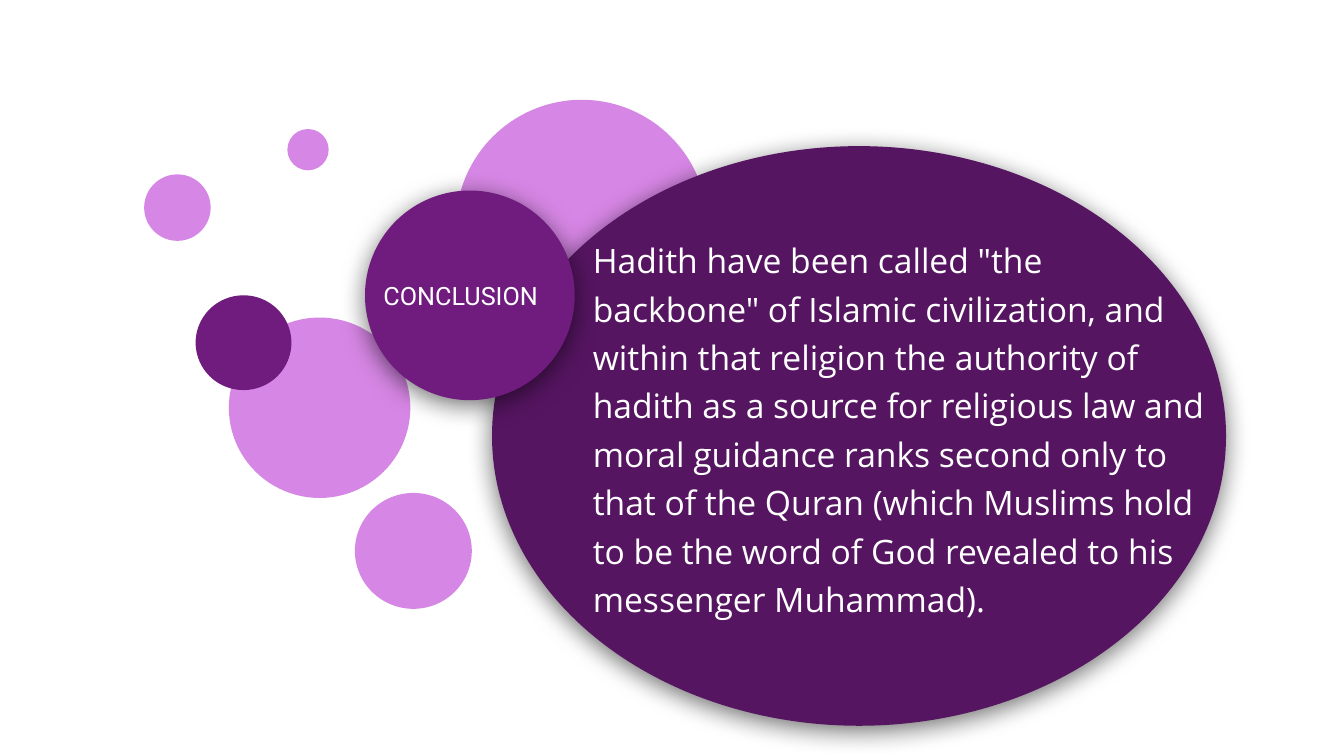
from lxml import etree
from pptx import Presentation
from pptx.dml.color import RGBColor
from pptx.enum.shapes import MSO_SHAPE
from pptx.enum.text import MSO_ANCHOR, PP_ALIGN
from pptx.oxml.ns import qn
from pptx.util import Inches, Pt

OVAL = MSO_SHAPE.OVAL
TOP, MIDDLE = MSO_ANCHOR.TOP, MSO_ANCHOR.MIDDLE
LEFT, CENTER = PP_ALIGN.LEFT, PP_ALIGN.CENTER

LILAC, PURPLE, PLUM, WHITE = "D686E4", "701C7F", "551561", "FFFFFF"
BODY = (
    'Hadith have been called "the backbone" of Islamic civilization, and '
    "within that religion the authority of hadith as a source for religious "
    "law and moral guidance ranks second only to that of the Quran (which "
    "Muslims hold to be the word of God revealed to his messenger Muhammad)."
)
# left, top, width, height and fill, relative to the cluster
BUBBLES = [
    (2.09, 3.9, 1.16, 1.15, LILAC),
    (0, 0.74, 0.66, 0.66, LILAC),
    (0.84, 2.16, 1.8, 1.79, LILAC),
    (3.09, 0, 2.5, 2.51, LILAC),
    (0.51, 1.94, 0.95, 0.94, PURPLE),
    (1.42, 0.29, 0.41, 0.41, LILAC),
]


def color(code):
    return RGBColor.from_string(code)


def assign(target, values):
    for name, value in values.items():
        setattr(target, name, value)


def add_oval(slide, box, fill):
    oval = slide.shapes.add_shape(OVAL, *map(Inches, box))
    oval.shadow.inherit = False
    oval.fill.solid()
    oval.fill.fore_color.rgb = color(fill)
    oval.line.fill.background()
    return oval


def add_shadow(shape):
    """Cast a soft black shadow straight down."""
    effects = shape._element.spPr.find(qn("a:effectLst"))
    outer = etree.SubElement(
        effects, qn("a:outerShdw"), blurRad=str(Pt(18)), dist=str(Pt(4)),
        dir="5400000", algn="ctr", rotWithShape="0")
    black = etree.SubElement(outer, qn("a:srgbClr"), val="000000")
    etree.SubElement(black, qn("a:alpha"), val="55000")


def add_text(slide, box, text, frame, para, font):
    area = slide.shapes.add_textbox(*map(Inches, box)).text_frame
    pad = Inches(0.13)
    assign(area, {"word_wrap": True, "margin_left": pad, "margin_right": pad,
                  "margin_top": pad, "margin_bottom": pad, **frame})
    line = area.paragraphs[0]
    assign(line, para)
    run = line.add_run()
    run.text = text
    assign(run.font, font)
    run.font.color.rgb = color(WHITE)


def add_bubbles(slide, left, top):
    for x, y, width, height, fill in BUBBLES:
        add_oval(slide, (left + x, top + y, width, height), fill)


def add_body(slide, left, top, width, height):
    add_shadow(add_oval(slide, (left, top, width, height), PLUM))
    add_text(slide, (left + 0.87, top + 0.83, width - 0.86, height - 0.55),
             BODY, {"vertical_anchor": TOP, "margin_top": Inches(0.02)},
             {"alignment": LEFT, "line_spacing": Pt(34.6)},
             {"name": "Open Sans", "size": Pt(24)})


def add_title(slide, left, top, size):
    add_shadow(add_oval(slide, (left, top, size, size), PURPLE))
    add_text(slide, (left, top + 0.35, size - 0.18, size - 0.7),
             "CONCLUSION", {"vertical_anchor": MIDDLE},
             {"alignment": CENTER}, {"name": "Roboto", "size": Pt(18)})


def main():
    deck = Presentation()
    assign(deck, {"slide_width": Inches(13.33), "slide_height": Inches(7.5)})
    slide = deck.slides.add_slide(deck.slide_layouts[6])
    add_bubbles(slide, 1.43, 0.99)
    add_body(slide, 4.88, 1.45, 7.28, 5.75)
    add_title(slide, 3.62, 1.89, 2.08)
    deck.save("out.pptx")


if __name__ == "__main__":
    main()
